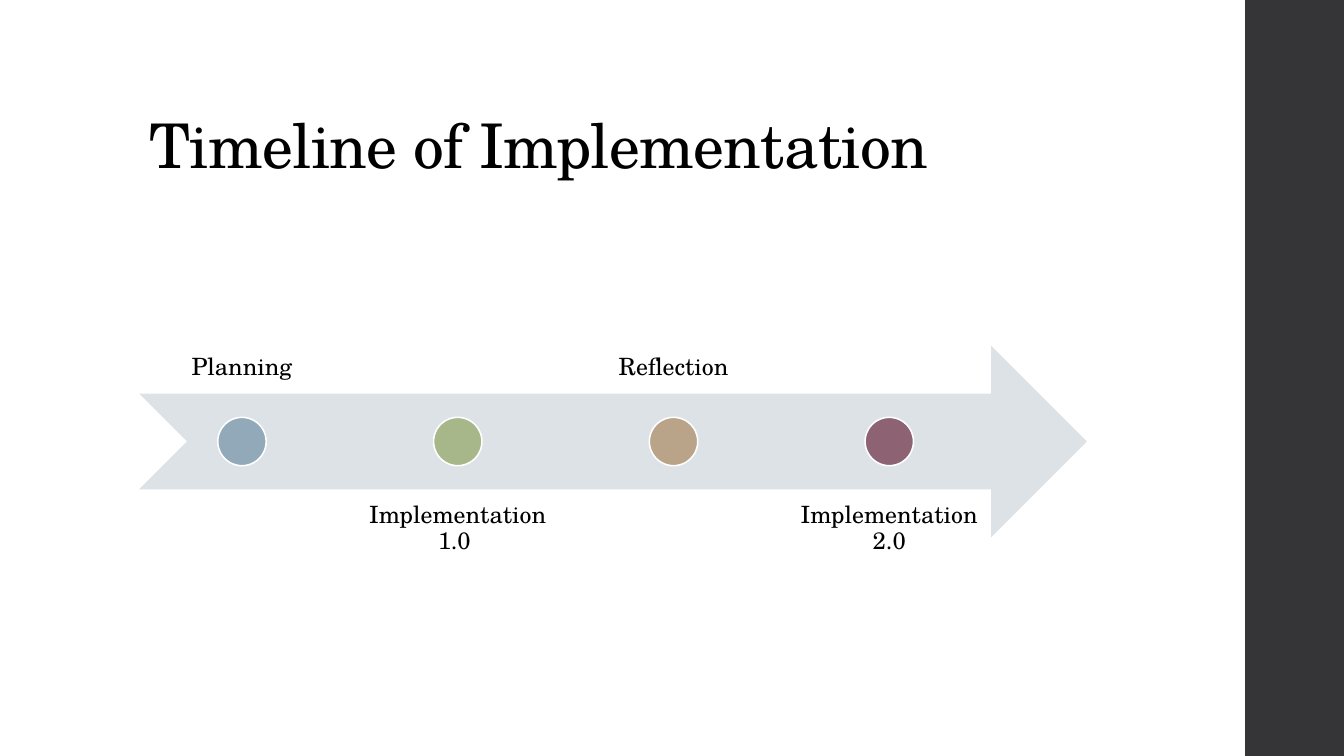
from pptx import Presentation
from pptx.dml.color import RGBColor
from pptx.enum import shapes, text
from pptx.util import Inches, Pt

FONT = "TeX Gyre Schola"
MILESTONES = [
    ("Planning", "92A9B9"),
    ("Implementation 1.0 ", "A7B789"),
    ("Reflection", "B9A489"),
    ("Implementation 2.0", "8D6374"),
]
ARROW_LEFT, ARROW_TOP, ARROW_HEIGHT = 1.38, 3.43, 1.9
LABEL_WIDTH, LABEL_STEP = 2.04, 2.14
DOT_SIZE = 0.48


def paint(color_format, value):
    color_format.rgb = RGBColor.from_string(value)


def apply(target, values):
    for name, value in values.items():
        setattr(target, name, value)


def add_filled(slide, kind, box, color, outline=None):
    figure = slide.shapes.add_shape(kind, *map(Inches, box))
    figure.shadow.inherit = False
    figure.fill.solid()
    paint(figure.fill.fore_color, color)
    if outline:
        paint(figure.line.color, outline)
        figure.line.width = Pt(1.1)
    else:
        figure.line.fill.background()


def add_words(slide, words, box, size, frame_format, align):
    frame = slide.shapes.add_textbox(*map(Inches, box)).text_frame
    apply(frame, {"word_wrap": True, **frame_format})
    paragraph = frame.paragraphs[0]
    apply(paragraph, {"alignment": align, "line_spacing": 0.9})
    run = paragraph.add_run()
    run.text = words
    apply(run.font, {"size": Pt(size), "name": FONT})
    paint(run.font.color, "000000")
    return run


def add_title(slide, words):
    title = add_words(
        slide, words, (1.38, 0.4, 10.6, 1.45), 44,
        {"vertical_anchor": text.MSO_ANCHOR.BOTTOM}, text.PP_ALIGN.LEFT,
    )
    title._r.get_or_add_rPr().set("spc", "-50")


def add_milestone(slide, index, words, color):
    above = index % 2 == 0
    left = ARROW_LEFT + index * LABEL_STEP
    label_top = 2 if above else 4.86
    anchor = text.MSO_ANCHOR.BOTTOM if above else text.MSO_ANCHOR.TOP
    sides = ("left", "right", "top", "bottom")
    label_format = {f"margin_{side}": Inches(0.13) for side in sides}
    label_format["vertical_anchor"] = anchor
    add_words(
        slide, words, (left, label_top, LABEL_WIDTH, ARROW_HEIGHT), 17,
        label_format, text.PP_ALIGN.CENTER,
    )
    dot_left = left + (LABEL_WIDTH - DOT_SIZE) / 2
    dot_top = ARROW_TOP + (ARROW_HEIGHT - DOT_SIZE) / 2
    add_filled(
        slide, shapes.MSO_SHAPE.OVAL,
        (dot_left, dot_top, DOT_SIZE, DOT_SIZE), color, "FFFFFF",
    )


def main():
    deck = Presentation()
    apply(deck, {"slide_width": Inches(13.33), "slide_height": Inches(7.5)})
    slide = deck.slides.add_slide(deck.slide_layouts[6])
    add_filled(slide, shapes.MSO_SHAPE.RECTANGLE, (12.35, 0, 0.98, 7.5), "353537")
    add_title(slide, "Timeline of Implementation")
    add_filled(
        slide, shapes.MSO_SHAPE.NOTCHED_RIGHT_ARROW,
        (ARROW_LEFT, ARROW_TOP, 9.4, ARROW_HEIGHT), "DCE2E6",
    )
    for index, (words, color) in enumerate(MILESTONES):
        add_milestone(slide, index, words, color)
    deck.save("out.pptx")


if __name__ == "__main__":
    main()
